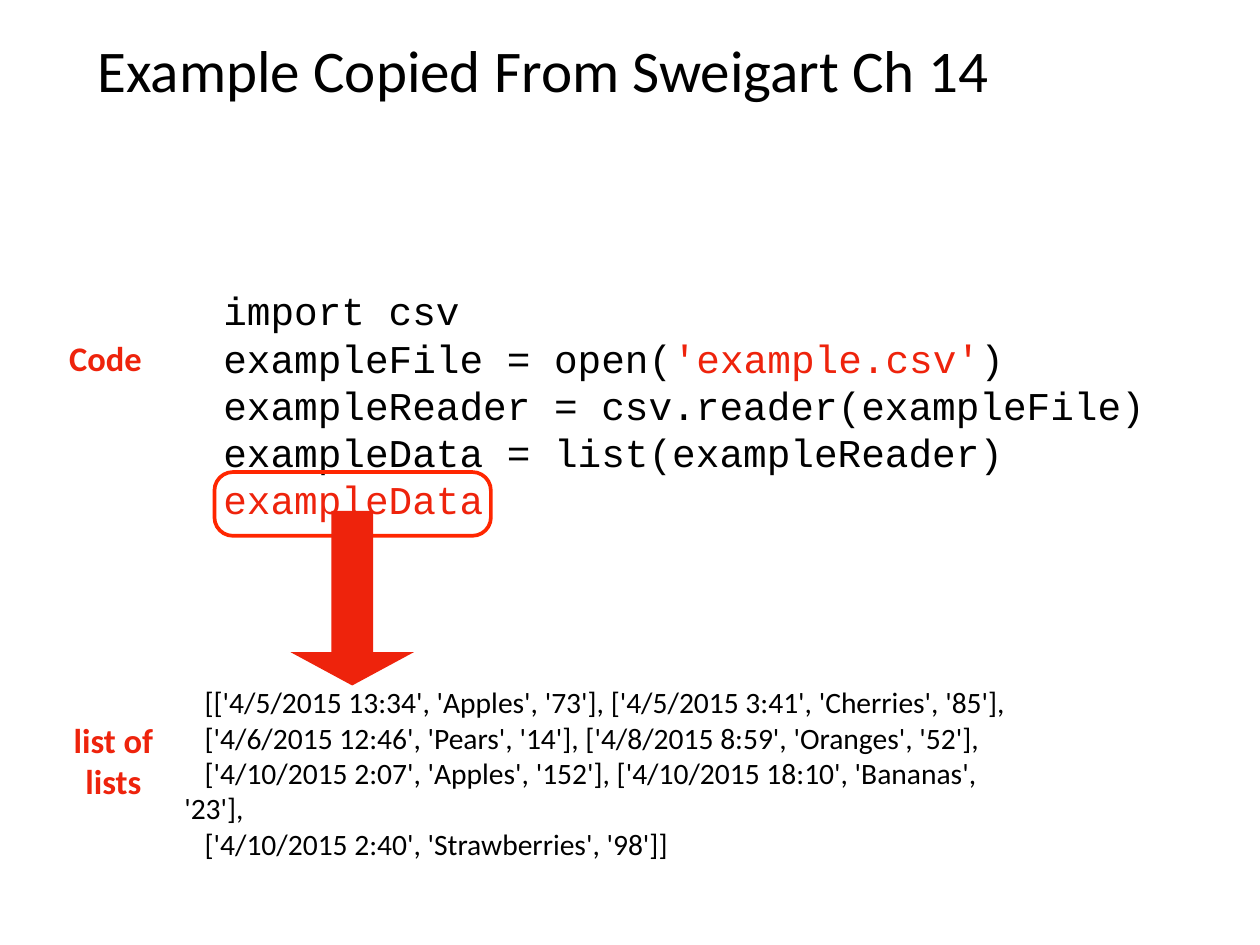
from pptx import Presentation
from pptx.dml.color import RGBColor
from pptx.enum.shapes import MSO_SHAPE
from pptx.enum.text import MSO_ANCHOR, MSO_AUTO_SIZE, PP_ALIGN
from pptx.util import Inches, Pt

COLORS = {"text": "000000", "accent": "EE230C", "outline": "FF2600"}
TITLE = "Example Copied From Sweigart Ch 14"

# Each line is a list of (text, color name) runs.
CODE = [
    [("import csv", "text")],
    [("exampleFile = open(", "text"), ("'example.csv'", "accent"), (")", "text")],
    [("exampleReader = csv.reader(exampleFile)", "text")],
    [("exampleData = list(exampleReader)", "text")],
    [("exampleData", "accent")],
]
OUTPUT = [[(line, "text")] for line in (
    "[['4/5/2015 13:34', 'Apples', '73'], ['4/5/2015 3:41', 'Cherries', '85'],",
    "['4/6/2015 12:46', 'Pears', '14'], ['4/8/2015 8:59', 'Oranges', '52'],",
    "['4/10/2015 2:07', 'Apples', '152'], ['4/10/2015 18:10', 'Bananas', '23'],",
    "['4/10/2015 2:40', 'Strawberries', '98']]",
)]
CODE_LABEL = [[("Code", "accent")]]
OUTPUT_LABEL = [[("list of", "accent")], [("lists", "accent")]]


def color(name):
    return RGBColor.from_string(COLORS[name])


def inches(*lengths):
    return [Inches(length) for length in lengths]


def write_lines(shape, lines, size, font="Calibri", bold=False,
                align=PP_ALIGN.LEFT, indent=0):
    """Fill a shape with colored runs; indent is the first-line indent in inches."""
    frame = shape.text_frame
    frame.word_wrap = True
    frame.auto_size = MSO_AUTO_SIZE.NONE
    frame.vertical_anchor = MSO_ANCHOR.MIDDLE
    frame.margin_left = frame.margin_right = Inches(0.06)
    frame.margin_top = frame.margin_bottom = Inches(0.06)
    for index, line in enumerate(lines):
        paragraph = frame.add_paragraph() if index else frame.paragraphs[0]
        paragraph.alignment = align
        if indent:
            properties = paragraph._p.get_or_add_pPr()
            properties.set("marL", "0")
            properties.set("indent", str(Inches(indent)))
        for text, color_name in line:
            run = paragraph.add_run()
            run.text = text
            run.font.name = font
            run.font.size = Pt(size)
            run.font.bold = bold
            run.font.color.rgb = color(color_name)


def add_text(slide, box, lines, size, **style):
    shape = slide.shapes.add_textbox(*inches(*box))
    write_lines(shape, lines, size, **style)
    return shape


def add_marker(slide, kind, box, adjustments):
    shape = slide.shapes.add_shape(kind, *inches(*box))
    shape.shadow.inherit = False
    for index, value in enumerate(adjustments):
        shape.adjustments[index] = value
    return shape


def main():
    presentation = Presentation()
    presentation.slide_width, presentation.slide_height = inches(14.22, 10.67)
    slide = presentation.slides.add_slide(presentation.slide_layouts[5])

    title = slide.shapes.title
    title.left, title.top, title.width, title.height = inches(1.04, 0.28, 12.14, 0.99)
    write_lines(title, [[(TITLE, "text")]], 48)

    add_text(slide, (2.46, 2.93, 10.79, 3.28), CODE, 32, font="Courier New")
    output = add_text(slide, (2.02, 7.89, 9.46, 1.67), OUTPUT, 24, indent=0.23)
    output.text_frame.auto_size = MSO_AUTO_SIZE.SHAPE_TO_FIT_TEXT

    highlight = add_marker(slide, MSO_SHAPE.ROUNDED_RECTANGLE,
                           (2.42, 5.33, 3.12, 0.72), [0.29])
    highlight.fill.background()
    highlight.line.color.rgb = color("outline")
    highlight.line.width = Pt(3)

    arrow = add_marker(slide, MSO_SHAPE.DOWN_ARROW,
                       (3.28, 5.77, 1.39, 1.97), [0.34, 0.27])
    arrow.fill.solid()
    arrow.fill.fore_color.rgb = color("accent")
    arrow.line.fill.background()

    add_text(slide, (0.72, 3.76, 1.14, 0.57), CODE_LABEL, 28, bold=True)
    add_text(slide, (0.6, 8.07, 1.36, 1.03), OUTPUT_LABEL, 28, bold=True,
             align=PP_ALIGN.CENTER)
    presentation.save("out.pptx")


if __name__ == "__main__":
    main()
